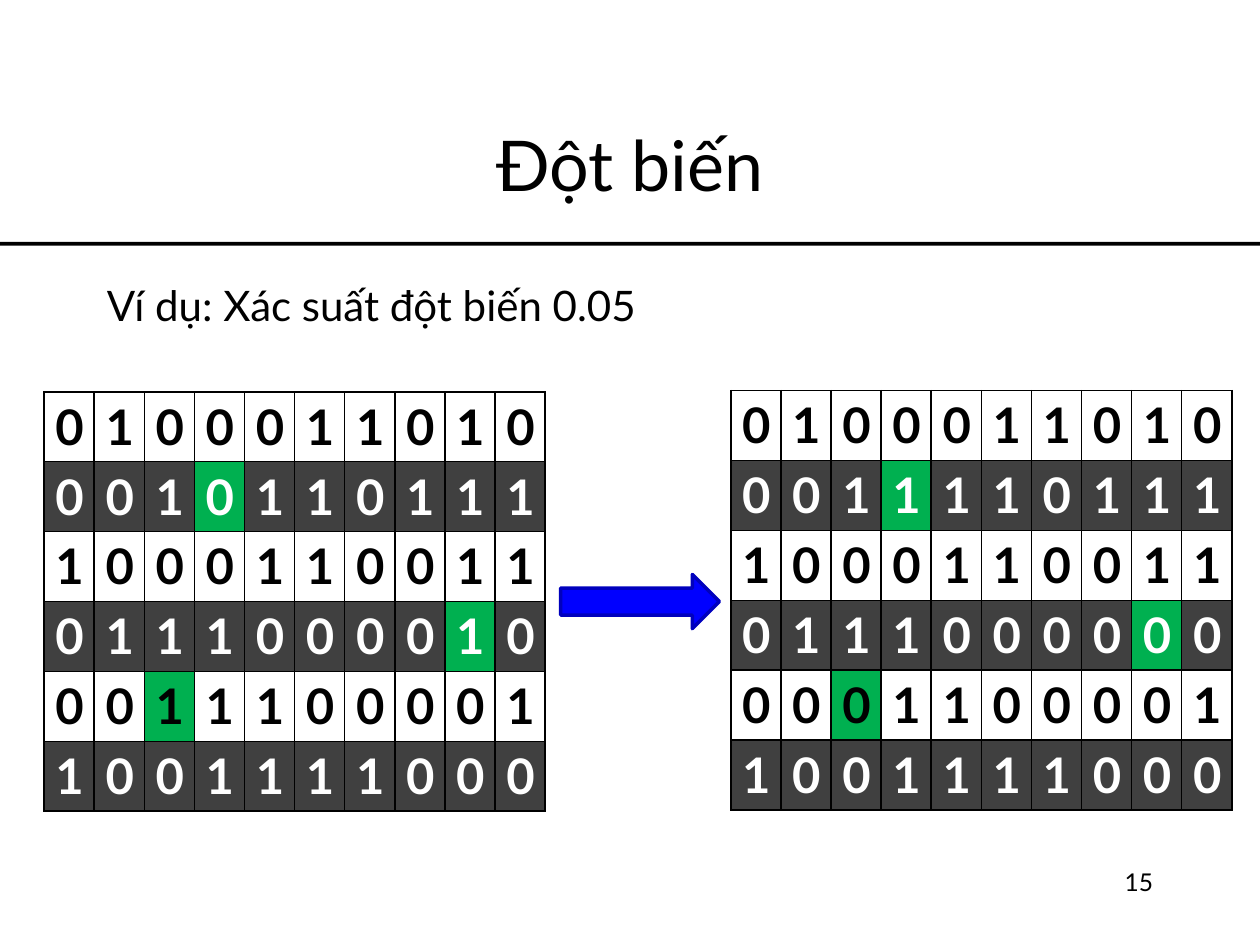
from lxml import etree
from pptx import Presentation
from pptx.dml.color import RGBColor
from pptx.enum.shapes import MSO_SHAPE
from pptx.enum.text import MSO_ANCHOR, PP_ALIGN
from pptx.oxml.ns import qn
from pptx.util import Inches, Pt

# Content
TITLE = "Đột biến"
NOTE = "Ví dụ: Xác suất đột biến 0.05"
PAGE = "15"
BEFORE = [
    "0100011010",
    "0010110111",
    "1000110011",
    "0111000010",
    "0011100001",
    "1001111000",
]
FLIPS = {(1, 3), (3, 8), (4, 2)}  # row, column of each mutated bit

# Style
FONT = "Lato"
BLACK = RGBColor(0x00, 0x00, 0x00)
WHITE = RGBColor(0xFF, 0xFF, 0xFF)
GRAY = RGBColor(0x40, 0x40, 0x40)
GREEN = RGBColor(0x00, 0xB0, 0x50)
BLUE = RGBColor(0x00, 0x00, 0xFF)
NAVY = RGBColor(0x00, 0x00, 0xBD)
LEFT, CENTER, RIGHT = PP_ALIGN.LEFT, PP_ALIGN.CENTER, PP_ALIGN.RIGHT
TOP, MIDDLE = MSO_ANCHOR.TOP, MSO_ANCHOR.MIDDLE
RECT, ARROW = MSO_SHAPE.RECTANGLE, MSO_SHAPE.RIGHT_ARROW
TABLE_W, TABLE_H = 3.98, 3.33


def box(*sizes):
    return [Inches(size) for size in sizes]


def write(frame, text, size, align, color=BLACK, bold=False):
    para = frame.paragraphs[0]
    para.text = text
    para.alignment = align
    font = para.font
    font.name, font.size, font.bold = FONT, Pt(size), bold
    font.color.rgb = color


def add_text(slide, at, text, size, align):
    frame = slide.shapes.add_textbox(*box(*at)).text_frame
    frame.word_wrap = True
    frame.vertical_anchor = TOP
    write(frame, text, size, align)


def add_block(slide, kind, at, color):
    shape = slide.shapes.add_shape(kind, *box(*at))
    shape.shadow.inherit = False
    shape.fill.solid()
    shape.fill.fore_color.rgb = color
    return shape


def add_border(cell):
    props = cell._tc.get_or_add_tcPr()
    for side in ("a:lnL", "a:lnR", "a:lnT", "a:lnB"):
        line = etree.SubElement(props, qn(side), w=str(Pt(1)))
        fill = etree.SubElement(line, qn("a:solidFill"))
        etree.SubElement(fill, qn("a:srgbClr"), val=str(BLACK))


def add_bits(slide, left, top, rows):
    count, width = len(rows), len(rows[0])
    at = box(left, top, TABLE_W, TABLE_H)
    table = slide.shapes.add_table(count, width, *at).table
    for col in table.columns:
        col.width = Inches(TABLE_W / width)
    for r, row in enumerate(rows):
        table.rows[r].height = Inches(TABLE_H / count)
        back, ink = (GRAY, WHITE) if r % 2 else (WHITE, BLACK)
        for c, bit in enumerate(row):
            cell = table.cell(r, c)
            cell.margin_left = cell.margin_right = Inches(0.09)
            cell.margin_top = cell.margin_bottom = Inches(0.04)
            write(cell.text_frame, bit, 28, CENTER, ink, True)
            add_border(cell)
            cell.fill.solid()
            cell.fill.fore_color.rgb = GREEN if (r, c) in FLIPS else back


def mutate(rows):
    swap = {"0": "1", "1": "0"}
    return ["".join(swap[bit] if (r, c) in FLIPS else bit
                    for c, bit in enumerate(row))
            for r, row in enumerate(rows)]


def main():
    deck = Presentation()
    deck.slide_width, deck.slide_height = box(10, 7.5)
    slide = deck.slides.add_slide(deck.slide_layouts[5])

    # Title and rule
    title = slide.shapes.title
    title.left, title.top, title.width, title.height = box(0.75, 0.67, 8.5, 1.25)
    title.text_frame.vertical_anchor = MIDDLE
    write(title.text_frame, TITLE, 40, CENTER)
    rule = add_block(slide, RECT, (0, 1.92, 10, 0.03), BLACK)
    rule.line.fill.background()

    # Page number and note
    add_text(slide, (7.17, 6.83, 2.08, 0.5), PAGE, 14, RIGHT)
    add_text(slide, (0.75, 2.17, 8.5, 4.5), NOTE, 24, LEFT)

    # Bits before and after mutation
    add_bits(slide, 0.35, 3.11, BEFORE)
    add_bits(slide, 5.8, 3.1, mutate(BEFORE))
    arrow = add_block(slide, ARROW, (4.45, 4.56, 1.26, 0.43), BLUE)
    arrow.line.color.rgb = NAVY
    arrow.line.width = Pt(2)

    deck.save("out.pptx")


if __name__ == "__main__":
    main()
